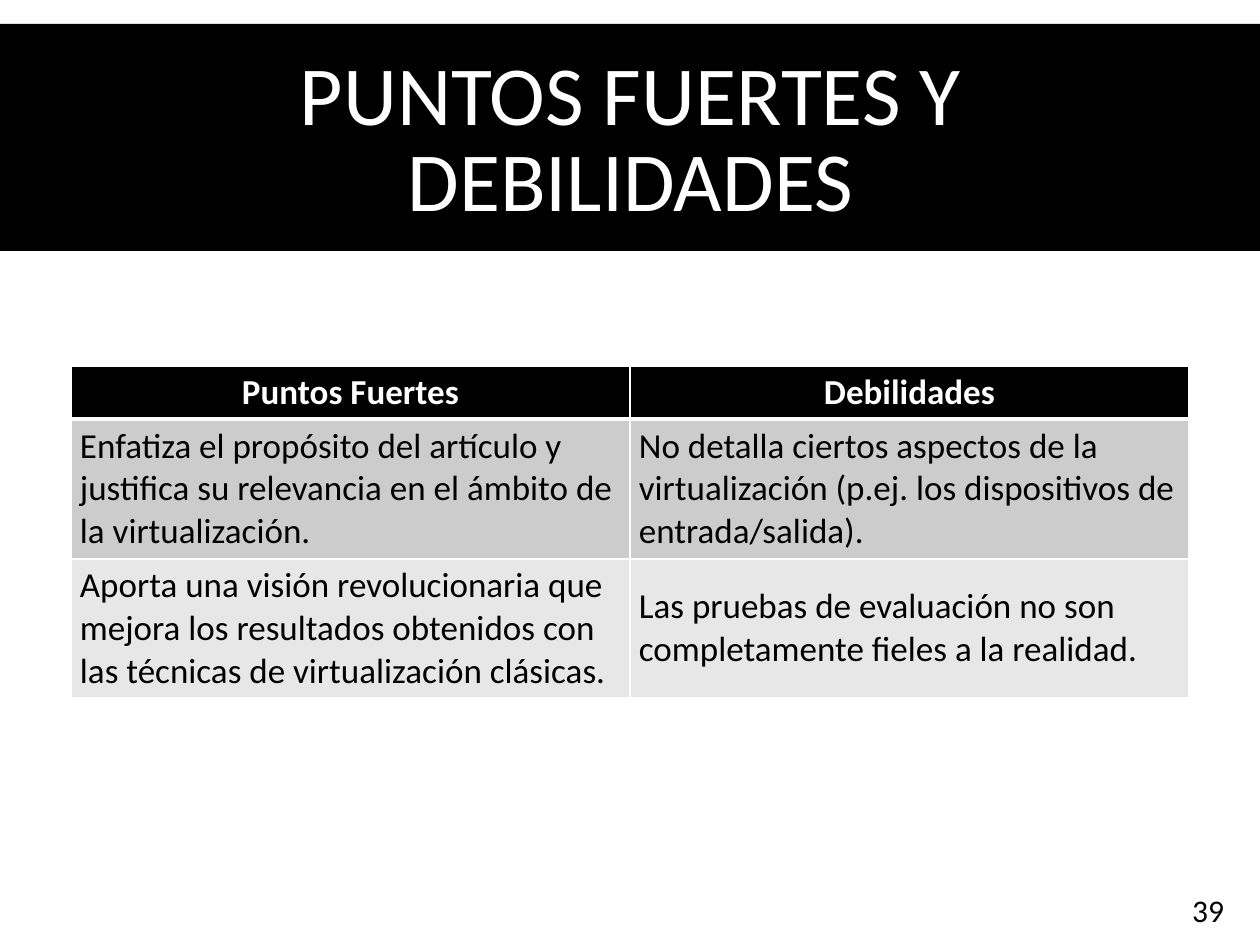
from lxml import etree
from pptx import Presentation
from pptx.dml.color import RGBColor
from pptx.enum.shapes import MSO_SHAPE
from pptx.enum.text import MSO_ANCHOR, PP_ALIGN
from pptx.oxml.ns import qn
from pptx.util import Emu, Pt

# Content
TITLE = "PUNTOS FUERTES Y DEBILIDADES"
PAGE = "39"
ROWS = [
    ("Puntos Fuertes", "Debilidades"),
    ("Enfatiza el propósito del artículo y justifica su relevancia en el ámbito de la virtualización.",
     "No detalla ciertos aspectos de la virtualización (p.ej. los dispositivos de entrada/salida)."),
    ("Aporta una visión revolucionaria que mejora los resultados obtenidos con las técnicas de virtualización clásicas.",
     "Las pruebas de evaluación no son completamente fieles a la realidad."),
]

# Layout in px, 126 to the inch
BAND = (0, 24, 1260, 227)
TITLE_BOX = (95, 39, 1071, 208)
TABLE = (71, 366, 1118, 332)
PAGE_BOX = (1139, 884, 98, 51)
ROW_HEIGHTS = (53, 140, 139)
CELL_MARGINS = dict(margin_left=9, margin_right=9, margin_top=5, margin_bottom=5)
PAGE_MARGINS = dict(margin_left=6, margin_right=13, margin_top=6, margin_bottom=6)

BLACK, WHITE = "000000", "FFFFFF"
ROW_FILLS = (BLACK, "CCCCCC", "E7E7E7")


def px(n):
    return Emu(round(n * 914400 / 126))


def color(value):
    return RGBColor.from_string(value)


def write(frame, text, size, ink, align, bold=False, spacing=None):
    frame.word_wrap = True
    frame.vertical_anchor = MSO_ANCHOR.MIDDLE
    line = frame.paragraphs[0]
    line.alignment = align
    line.line_spacing = spacing
    run = line.add_run()
    run.text = text
    for key, value in dict(name="Calibri", size=Pt(size), bold=bold).items():
        setattr(run.font, key, value)
    run.font.color.rgb = color(ink)


def set_margins(target, margins):
    for key, value in margins.items():
        setattr(target, key, px(value))


def set_borders(cell, widths):
    props = cell._tc.get_or_add_tcPr()
    for i, (side, width) in enumerate(widths.items()):
        line = etree.Element(qn(f"a:ln{side}"), w=str(Pt(width)))
        fill = etree.SubElement(line, qn("a:solidFill"))
        etree.SubElement(fill, qn("a:srgbClr"), val=WHITE)
        props.insert(i, line)


def main():
    prs = Presentation()
    prs.slide_width, prs.slide_height = px(1260), px(945)
    slide = prs.slides.add_slide(prs.slide_layouts[6])
    shapes = slide.shapes

    # Title band
    band = shapes.add_shape(MSO_SHAPE.RECTANGLE, *map(px, BAND))
    band.shadow.inherit = False
    band.fill.solid()
    band.fill.fore_color.rgb = color(BLACK)
    band.line.fill.background()
    title = shapes.add_textbox(*map(px, TITLE_BOX))
    write(title.text_frame, TITLE, 48, WHITE, PP_ALIGN.CENTER, spacing=0.85)

    # Strengths and weaknesses
    table = shapes.add_table(len(ROWS), len(ROWS[0]), *map(px, TABLE)).table
    for column in table.columns:
        column.width = px(TABLE[2] / len(ROWS[0]))
    for r, (texts, height, fill) in enumerate(zip(ROWS, ROW_HEIGHTS, ROW_FILLS)):
        table.rows[r].height = px(height)
        header = r == 0
        for c, text in enumerate(texts):
            cell = table.cell(r, c)
            cell.fill.solid()
            cell.fill.fore_color.rgb = color(fill)
            set_margins(cell, CELL_MARGINS)
            write(cell.text_frame, text, 20, WHITE if header else BLACK,
                  PP_ALIGN.CENTER if header else PP_ALIGN.LEFT, bold=header)
            cell.vertical_anchor = MSO_ANCHOR.MIDDLE
            set_borders(cell, dict(L=1, R=1, T=3 if r == 1 else 1, B=3 if header else 1))

    # Page number
    page = shapes.add_textbox(*map(px, PAGE_BOX))
    set_margins(page.text_frame, PAGE_MARGINS)
    write(page.text_frame, PAGE, 18, BLACK, PP_ALIGN.RIGHT)

    prs.save("out.pptx")


if __name__ == "__main__":
    main()
